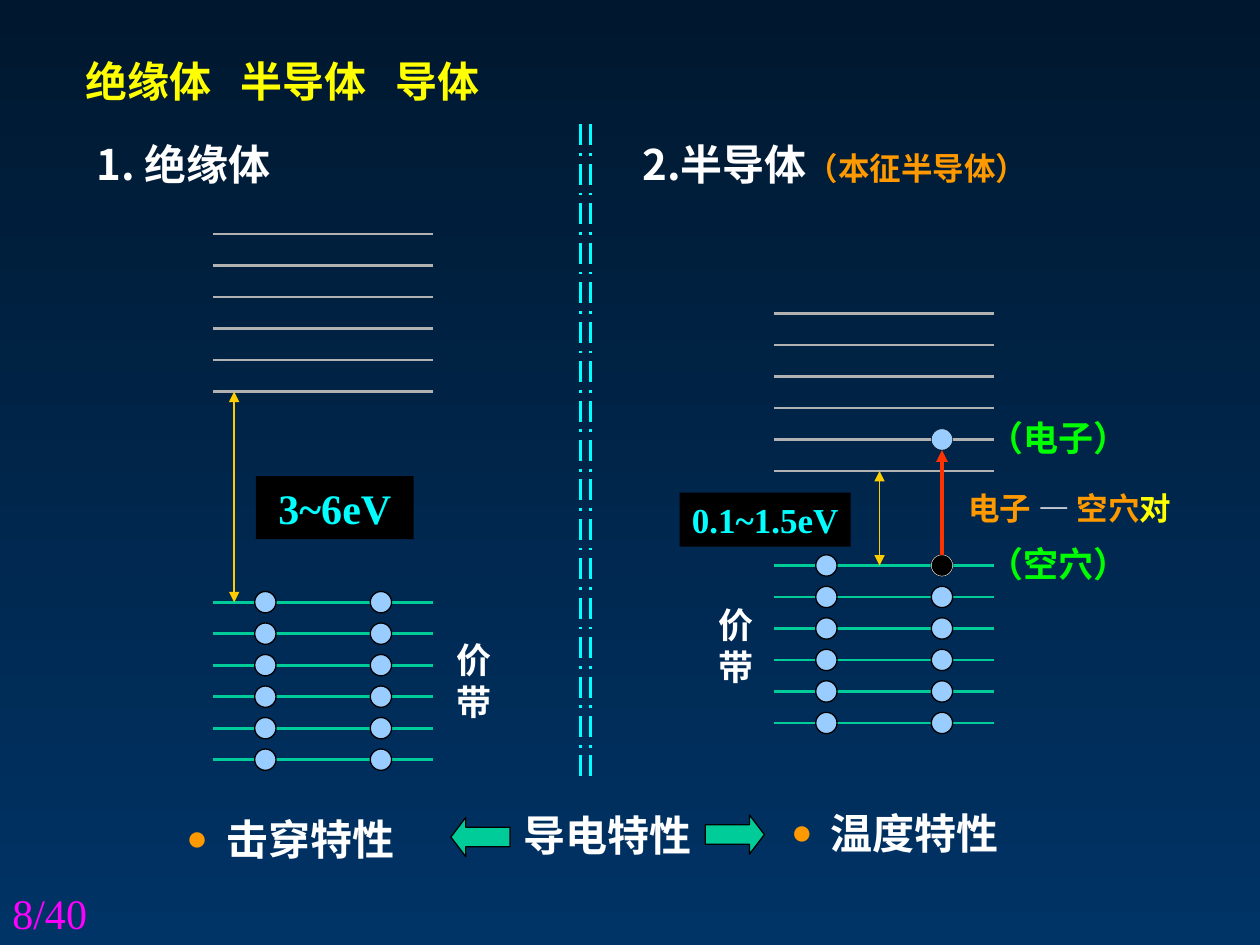
from dataclasses import dataclass
from typing import Optional

import pptx
import pptx.dml.color
import pptx.enum.dml
import pptx.enum.shapes
import pptx.enum.text
import pptx.oxml.ns
import pptx.util
from lxml import etree

Cm, Pt = pptx.util.Cm, pptx.util.Pt
SHAPE = pptx.enum.shapes.MSO_SHAPE
ALIGN = pptx.enum.text.PP_ALIGN


@dataclass(frozen=True)
class Theme:
    """Colours, fonts and type sizes of the slide."""
    bg_top: str = "00182F"
    bg_bottom: str = "003366"
    white: str = "FFFFFF"
    black: str = "000000"
    yellow: str = "FFFF00"
    orange: str = "FF9900"
    cyan: str = "00FFFF"
    lime: str = "00FF00"
    magenta: str = "FF00FF"
    grey: str = "B2B2B2"
    green: str = "00CC99"
    electron: str = "99CCFF"
    gap: str = "FFCC00"
    jump: str = "FF3300"
    sans: str = "Noto Sans CJK SC"
    serif: str = "Times New Roman"
    large: int = 24
    medium: int = 20
    small: int = 18


T = Theme()
LEVELS, PITCH, BAND_WIDTH = 6, 0.635, 4.44
DOT, DOT_OFFSETS = 0.43, (1.06, 3.39)


@dataclass(frozen=True)
class Run:
    """A stretch of text in one style."""
    text: str
    color: str = T.white
    size: int = T.large
    font: str = T.sans
    bold: bool = True


@dataclass(frozen=True)
class Label:
    """A one-paragraph text block, in centimetres."""
    left: float
    top: float
    width: float
    height: float
    runs: tuple[Run, ...]
    align: Optional[ALIGN] = None
    wrap: bool = True
    fill: Optional[str] = None
    bullet: bool = False
    tabs: tuple[float, ...] = ()
    line_pt: Optional[int] = None
    inset: float = 0.25


@dataclass(frozen=True)
class Diagram:
    """A band diagram: left edge, first conduction and valence levels."""
    left: float
    conduction: float
    valence: float
    gap_x: float


INSULATOR = Diagram(4.29, 4.72, 12.14, 4.72)
SEMICONDUCTOR = Diagram(15.6, 6.32, 11.4, 17.73)
CENTER = ALIGN.CENTER


def one(text: str, color: str = T.white, size: int = T.large,
        font: str = T.sans, bold: bool = True) -> tuple[Run, ...]:
    """Return a single-run paragraph."""
    return (Run(text, color, size, font, bold),)


LABELS = (
    Label(1.47, 0.99, 17.78, 1.27, one("绝缘体\t半导体\t导体", T.yellow), tabs=(3.12, 6.25)),
    Label(1.7, 2.67, 9.22, 1.27, one("1. 绝缘体")),
    Label(12.7, 2.67, 9.73, 1.27,
          (Run("2.半导体"), Run("（本征半导体）", T.orange, T.small))),
    Label(5.16, 9.6, 3.18, 1.27, one("3~6eV", T.cyan, T.large, T.serif), CENTER, fill=T.black),
    Label(13.7, 9.93, 3.45, 1.09, one("0.1~1.5eV", T.cyan, T.medium, T.serif),
          CENTER, False, T.black, inset=0.1),
    Label(8.74, 12.73, 1.63, 1.96, one("价带", size=T.medium, font=T.serif), CENTER, line_pt=24),
    Label(14.02, 12.04, 1.63, 1.96, one("价带", size=T.medium), CENTER, line_pt=24),
    Label(19.66, 10.82, 3.35, 1.09, one("（空穴）", T.lime, T.medium, T.serif), CENTER, False),
    Label(19.66, 8.28, 3.35, 1.09, one("（电子）", T.lime, T.medium, T.serif), CENTER, False),
    Label(19.23, 9.73, 4.67, 1.02,
          tuple(Run(text, color, T.small, T.serif) for text, color in (
              ("电子 ", T.orange), ("— ", T.white), ("空穴", T.orange), ("对", T.yellow))),
          CENTER, False),
    Label(15.7, 16.13, 5.79, 1.3, one("温度特性"), bullet=True),
    Label(3.51, 16.26, 6.5, 1.3, one("击穿特性"), bullet=True),
    Label(10.31, 16.2, 3.94, 1.27, one("导电特性"), wrap=False),
    Label(0, 17.73, 5.92, 1.32, one("8/40", T.magenta, T.large, T.serif, False)),
)


def rgb(value: str) -> pptx.dml.color.RGBColor:
    """Turn a hex string into a colour."""
    return pptx.dml.color.RGBColor.from_string(value)


def child(parent, tag: str, **attrs):
    """Append a DrawingML element."""
    names = {key: str(value) for key, value in attrs.items()}
    return etree.SubElement(parent, pptx.oxml.ns.qn(tag), names)


def add_label(slide, label: Label) -> None:
    """Draw a text block run by run."""
    sp = slide.shapes.add_textbox(*map(Cm, (label.left, label.top, label.width, label.height)))
    if label.fill:
        sp.fill.solid()
        sp.fill.fore_color.rgb = rgb(label.fill)
    tf = sp.text_frame
    tf.word_wrap = label.wrap
    tf.margin_left = tf.margin_right = Cm(label.inset)
    tf.vertical_anchor = pptx.enum.text.MSO_ANCHOR.MIDDLE
    p = tf.paragraphs[0]
    if label.align is not None:
        p.alignment = label.align
    if label.line_pt:
        p.line_spacing = Pt(label.line_pt)
    if label.bullet:
        pPr = p._p.get_or_add_pPr()
        pPr.set("marL", str(Cm(0.8)))
        pPr.set("indent", str(Cm(-0.8)))
        child(child(pPr, "a:buClr"), "a:srgbClr", val=T.orange)
        child(pPr, "a:buSzPct", val=85000)
        child(pPr, "a:buFont", typeface=T.serif)
        child(pPr, "a:buChar", char="●")
    if label.tabs:
        tab_list = child(p._p.get_or_add_pPr(), "a:tabLst")
        for position in label.tabs:
            child(tab_list, "a:tab", pos=Cm(position), algn="l")
    for run in label.runs:
        r = p.add_run()
        r.text = run.text
        r.font.size, r.font.bold, r.font.name = Pt(run.size), run.bold, run.font
        r.font.color.rgb = rgb(run.color)
        child(r._r.get_or_add_rPr(), "a:ea", typeface=T.sans)


def add_line(slide, x1: float, y1: float, x2: float, y2: float, color: str,
             width: float = 1.5, dash=None, ends: tuple[str, ...] = ()) -> None:
    """Draw a straight line with optional dash and arrowheads."""
    cxn = slide.shapes.add_connector(
        pptx.enum.shapes.MSO_CONNECTOR.STRAIGHT, *map(Cm, (x1, y1, x2, y2)))
    cxn.line.color.rgb = rgb(color)
    cxn.line.width = Pt(width)
    if dash is not None:
        cxn.line.dash_style = dash
    for end in ends:
        child(cxn.line._get_or_add_ln(), end, type="triangle")
    child(cxn._element.spPr, "a:effectLst")


def add_solid(slide, kind, left: float, top: float, width: float, height: float,
              fill: str, line: str = T.black, line_pt: float = 0.75):
    """Draw a filled preset shape."""
    sp = slide.shapes.add_shape(kind, *map(Cm, (left, top, width, height)))
    sp.shadow.inherit = False
    sp.fill.solid()
    sp.fill.fore_color.rgb = rgb(fill)
    sp.line.color.rgb = rgb(line)
    sp.line.width = Pt(line_pt)
    return sp


def add_dot(slide, x: float, y: float, fill: str = T.electron,
            line: str = T.black, line_pt: float = 0.75) -> None:
    """Draw an electron or hole centred on a point."""
    add_solid(slide, SHAPE.OVAL, x - DOT / 2, y - DOT / 2, DOT, DOT, fill, line, line_pt)


def add_diagram(slide, d: Diagram) -> None:
    """Draw both bands, the valence electrons and the gap arrow."""
    for top, color in ((d.conduction, T.grey), (d.valence, T.green)):
        for level in range(LEVELS):
            y = top + level * PITCH
            add_line(slide, d.left, y, d.left + BAND_WIDTH, y, color)
            if top == d.valence:
                for offset in DOT_OFFSETS:
                    add_dot(slide, d.left + offset, y)
    add_line(slide, d.gap_x, d.conduction + (LEVELS - 1) * PITCH, d.gap_x, d.valence,
             T.gap, 0.75, ends=("a:headEnd", "a:tailEnd"))


def add_excitation(slide, d: Diagram) -> None:
    """Draw the hole, the excited electron and the jump between them."""
    x, y = d.left + DOT_OFFSETS[1], d.conduction + (LEVELS - 2) * PITCH
    add_dot(slide, x, d.valence, T.black, T.white, 0.25)
    add_dot(slide, x, y, line_pt=0.25)
    add_line(slide, x, d.valence - DOT / 2, x, y + DOT / 2, T.jump, 2.25, ends=("a:tailEnd",))


def main() -> None:
    """Build the slide and save it."""
    prs = pptx.Presentation()
    prs.slide_width, prs.slide_height = Cm(25.4), Cm(19.05)
    slide = prs.slides.add_slide(prs.slide_layouts[6])
    fill = slide.background.fill
    fill.gradient()
    fill.gradient_angle = 270
    for stop, color in zip(fill.gradient_stops, (T.bg_top, T.bg_bottom)):
        stop.color.rgb = rgb(color)
    for d in (INSULATOR, SEMICONDUCTOR):
        add_diagram(slide, d)
    add_excitation(slide, SEMICONDUCTOR)
    for x in (11.7, 11.91):
        add_line(slide, x, 2.51, x, 15.72, T.cyan, dash=pptx.enum.dml.MSO_LINE.LONG_DASH_DOT)
    for label in LABELS:
        add_label(slide, label)
    for kind, left, top in ((SHAPE.RIGHT_ARROW, 14.22, 16.43), (SHAPE.LEFT_ARROW, 9.09, 16.48)):
        sp = add_solid(slide, kind, left, top, 1.19, 0.79, T.green)
        sp.adjustments[1] = 0.38
    prs.save("out.pptx")


if __name__ == "__main__":
    main()
